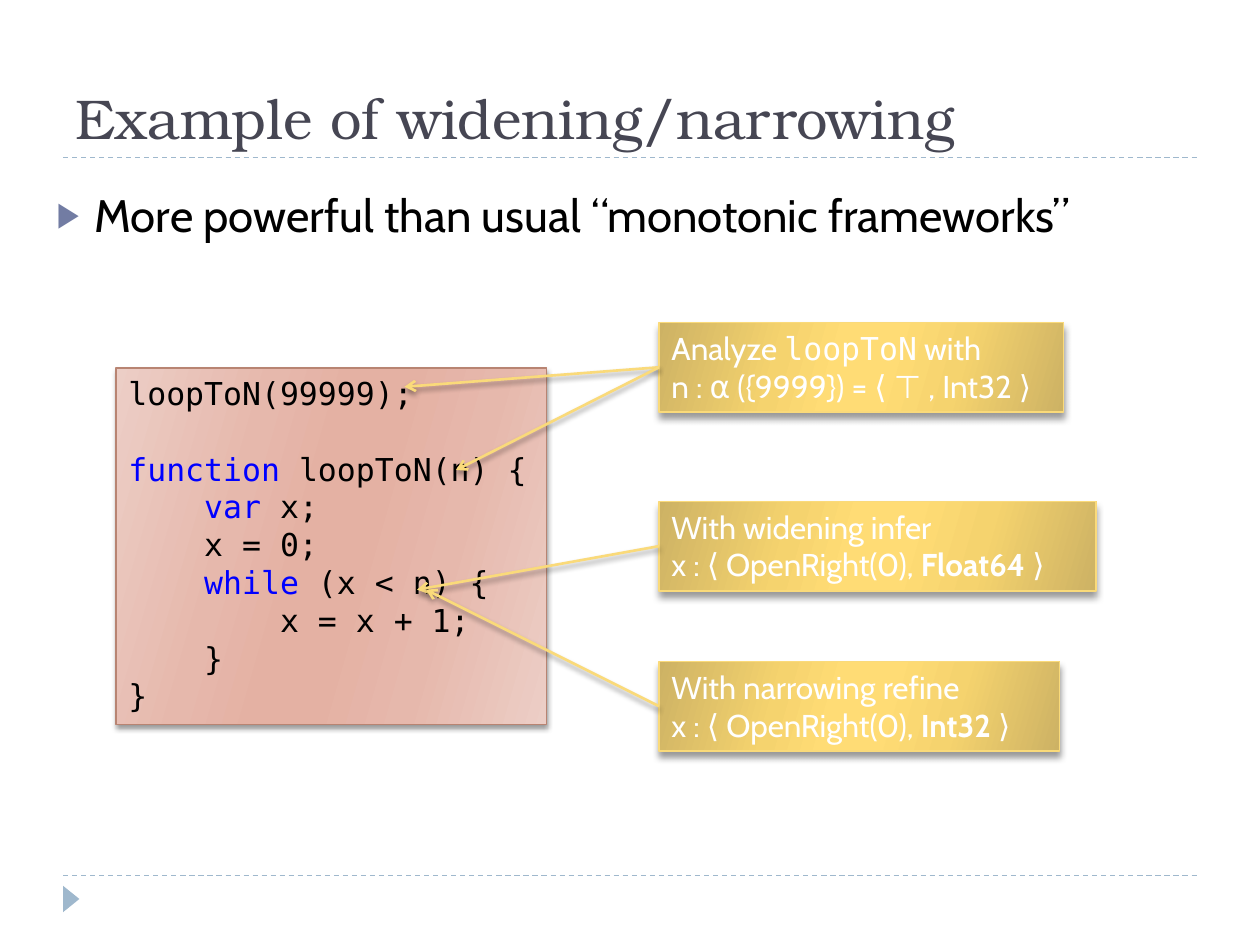
from lxml import etree
from pptx import Presentation
from pptx.dml.color import RGBColor
from pptx.enum.dml import MSO_LINE
from pptx.enum.shapes import MSO_CONNECTOR, MSO_SHAPE
from pptx.enum.text import MSO_ANCHOR, MSO_AUTO_SIZE, PP_ALIGN
from pptx.oxml import parse_xml
from pptx.oxml.ns import nsdecls, qn
from pptx.util import Inches, Pt

SERIF, SANS, MONO = "TeX Gyre Bonum", "Cabin", "DejaVu Sans Mono"
BLACK, WHITE, BLUE = "000000", "FFFFFF", "0000FF"
RULE_COLOR, GOLD, BRICK = "9FB8CD", "FADA7A", "B88472"
STOPS = (0, 30, 45, 55, 73, 100)
PINK_FADE = ("ECCEC6", "E6B8AC", "E4B1A3")  # edge, inner, middle
GOLD_FADE = ("CDB264", "F5D36E", "FFDC75")

TITLE = "Example of widening/narrowing"
POINT = "More powerful than usual “monotonic frameworks”"

# Runs are (text, style) pairs
STYLES = {
    "code": (MONO, BLACK, False),
    "keyword": (MONO, BLUE, False),
    "note": (SANS, WHITE, False),
    "strong": (SANS, WHITE, True),
    "note code": (MONO, WHITE, False),
}
CODE = [
    [("loopToN(99999);", "code")],
    [("", "code")],
    [("function ", "keyword"), ("loopToN(n) {", "code")],
    [("    ", "code"), ("var", "keyword"), (" x;", "code")],
    [("    x = 0;", "code")],
    [("    ", "code"), ("while", "keyword"), (" (x < n) {", "code")],
    [("        x = x + 1;", "code")],
    [("    }", "code")],
    [("}", "code")],
]
NOTE_LEFT, NOTE_HEIGHT = 5.23, 0.71
# The mathematical brackets ⟨ ⟩ are narrow; the East Asian ones take a full em
NOTES = [
    {"top": 2.56, "width": 3.21, "targets": [(3.21, 3.07), (3.62, 3.73)],
     "lines": [[("Analyze ", "note"), ("loopToN", "note code"), (" with", "note")],
               [("n : α ({9999}) = ⟨ ⊤ , Int32 ⟩", "note")]]},
    {"top": 3.98, "width": 3.47, "targets": [(3.31, 4.68)],
     "lines": [[("With widening infer", "note")],
               [("x : ⟨ OpenRight(0), ", "note"), ("Float64 ", "strong"), ("⟩", "note")]]},
    {"top": 5.25, "width": 3.18, "targets": [(3.38, 4.68)],
     "lines": [[("With narrowing refine", "note")],
               [("x : ⟨ OpenRight(0), ", "note"), ("Int32 ", "strong"), ("⟩", "note")]]},
]


def rgb(value):
    return RGBColor.from_string(value)


def place(shape, *box):
    shape.left, shape.top, shape.width, shape.height = map(Inches, box)


def set_font(font, name, size, color, bold=False):
    font.name, font.size, font.bold = name, Pt(size), bold
    font.color.rgb = rgb(color)


def set_effects(shape, blur=None, distance=None):
    """Give the shape a soft shadow straight below, or no effect at all."""
    effects = etree.SubElement(shape._element.spPr, qn("a:effectLst"))
    if blur:
        effects.append(parse_xml(
            f'<a:outerShdw {nsdecls("a")} blurRad="{Pt(blur)}" dist="{Pt(distance)}" '
            'dir="5400000" rotWithShape="0"><a:srgbClr val="000000">'
            '<a:alpha val="40000"/></a:srgbClr></a:outerShdw>'))


def add_line(shapes, start, end, color, width):
    line = shapes.add_connector(MSO_CONNECTOR.STRAIGHT, *map(Inches, start + end))
    line.line.color.rgb = rgb(color)
    line.line.width = Pt(width)
    return line


def add_rule(shapes, y):
    rule = add_line(shapes, (0.5, y), (9.5, y), RULE_COLOR, 0.75)
    rule.line.dash_style = MSO_LINE.DASH
    set_effects(rule)


def add_arrow(shapes, start, end):
    arrow = add_line(shapes, start, end, GOLD, 1.5)
    etree.SubElement(arrow.line._get_or_add_ln(), qn("a:tailEnd"), type="arrow")
    set_effects(arrow, 3, 2)


def add_panel(shapes, box, lines, fade, outline, shadow, wrap):
    """Add a rectangle with a mirrored gradient and styled lines of text."""
    panel = shapes.add_shape(MSO_SHAPE.RECTANGLE, *map(Inches, box))
    stops = "".join(f'<a:gs pos="{pos * 1000}"><a:srgbClr val="{color}"/></a:gs>'
                    for pos, color in zip(STOPS, fade + fade[::-1]))
    panel._element.spPr.append(parse_xml(
        f'<a:gradFill {nsdecls("a")} rotWithShape="1"><a:gsLst>{stops}</a:gsLst>'
        '<a:lin ang="960000" scaled="0"/></a:gradFill>'))
    panel.line.color.rgb = rgb(outline)
    panel.line.width = Pt(0.75)
    set_effects(panel, *shadow)

    frame = panel.text_frame
    frame.word_wrap = wrap
    frame.auto_size = MSO_AUTO_SIZE.SHAPE_TO_FIT_TEXT
    frame.vertical_anchor = MSO_ANCHOR.TOP
    for index, runs in enumerate(lines):
        paragraph = frame.add_paragraph() if index else frame.paragraphs[0]
        paragraph.alignment = PP_ALIGN.LEFT
        for text, style in runs:
            run = paragraph.add_run()
            run.text = text
            name, color, bold = STYLES[style]
            set_font(run.font, name, 18, color, bold)


def fill_placeholder(holder, box, text, anchor, *font):
    place(holder, *box)
    frame = holder.text_frame
    frame.text = text
    frame.word_wrap = True
    frame.auto_size = MSO_AUTO_SIZE.NONE
    frame.vertical_anchor = anchor
    paragraph = frame.paragraphs[0]
    paragraph.alignment = PP_ALIGN.LEFT
    paragraph.space_before = Pt(0)
    set_font(paragraph.runs[0].font, *font)
    return paragraph


def add_bullet(paragraph):
    properties = paragraph._p.get_or_add_pPr()
    properties.set("marL", str(Inches(0.3)))
    properties.set("indent", str(Inches(-0.3)))
    color = etree.SubElement(properties, qn("a:buClr"))
    etree.SubElement(color, qn("a:srgbClr"), val="727CA3")
    etree.SubElement(properties, qn("a:buSzPct"), val="76000")
    etree.SubElement(properties, qn("a:buChar"), char="▶")


def main():
    deck = Presentation()
    deck.slide_width, deck.slide_height = Inches(10), Inches(7.5)
    slide = deck.slides.add_slide(deck.slide_layouts[1])
    shapes = slide.shapes

    for y in (6.95, 1.25):
        add_rule(shapes, y)
    marker = shapes.add_shape(MSO_SHAPE.ISOSCELES_TRIANGLE,
                              *map(Inches, (0.46, 7.07, 0.21, 0.13)))
    marker.rotation = 90
    marker.fill.solid()
    marker.fill.fore_color.rgb = rgb(RULE_COLOR)
    marker.line.fill.background()
    marker.shadow.inherit = False

    fill_placeholder(shapes.title, (0.5, 0.17, 9, 1.08), TITLE,
                     MSO_ANCHOR.BOTTOM, SERIF, 32, "464653")
    point = fill_placeholder(slide.placeholders[1], (0.35, 1.48, 9.17, 2.42), POINT,
                             MSO_ANCHOR.TOP, SANS, 26, BLACK)
    point.line_spacing = 0.9
    add_bullet(point)

    add_panel(shapes, (0.92, 2.92, 3.42, 2.83), CODE, PINK_FADE, BRICK, (3, 2), True)
    for note in NOTES:
        group = shapes.add_group_shape().shapes
        box = (NOTE_LEFT, note["top"], note["width"], NOTE_HEIGHT)
        add_panel(group, box, note["lines"], GOLD_FADE, GOLD, (4, 3.4), False)
        for target in note["targets"]:
            add_arrow(group, (NOTE_LEFT, note["top"] + NOTE_HEIGHT / 2), target)

    deck.save("out.pptx")


if __name__ == "__main__":
    main()
